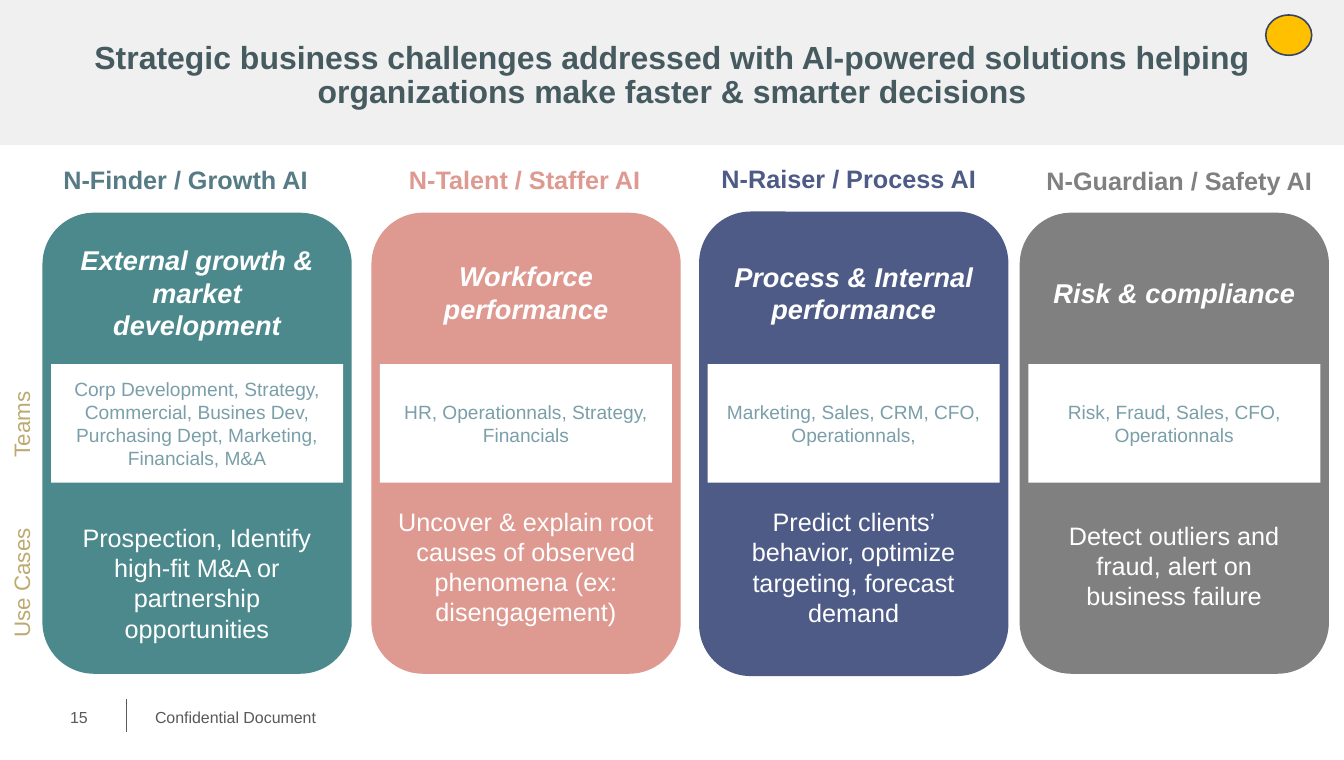
from lxml import etree
from pptx import Presentation
from pptx.dml.color import RGBColor
from pptx.enum.shapes import MSO_CONNECTOR, MSO_SHAPE
from pptx.enum.text import MSO_ANCHOR, PP_ALIGN
from pptx.oxml.ns import qn
from pptx.util import Pt

RECT, ROUND, OVAL = MSO_SHAPE.RECTANGLE, MSO_SHAPE.ROUNDED_RECTANGLE, MSO_SHAPE.OVAL
STRAIGHT = MSO_CONNECTOR.STRAIGHT
TOP, MIDDLE = MSO_ANCHOR.TOP, MSO_ANCHOR.MIDDLE
LEFT, CENTER = PP_ALIGN.LEFT, PP_ALIGN.CENTER

WHITE = RGBColor(0xFF, 0xFF, 0xFF)
HEADER_GRAY = RGBColor(0xF1, 0xF0, 0xF1)
TITLE_SLATE = RGBColor(0x45, 0x5B, 0x60)
FOOTER_GRAY = RGBColor(0x59, 0x59, 0x59)
TEAL = RGBColor(0x4B, 0x89, 0x8C)
HEADING_TEAL = RGBColor(0x56, 0x7B, 0x85)
SALMON = RGBColor(0xDE, 0x99, 0x91)
INDIGO = RGBColor(0x4D, 0x5B, 0x86)
GRAY = RGBColor(0x80, 0x80, 0x80)
TEAM_BLUE = RGBColor(0x7A, 0x9F, 0xA9)
SAND = RGBColor(0xBD, 0xAA, 0x70)
AMBER = RGBColor(0xFF, 0xC0, 0x00)
NAVY = RGBColor(0x39, 0x43, 0x63)

SLIDE_WIDTH, SLIDE_HEIGHT = 841.7, 475.9
CARD_WIDTH, PANEL_INSET = 193.7, 5.4
HEADING_WIDTH = 205
BLANK_LINE = 18.9

SOLUTIONS = [
    {"name": "N-Finder / Growth AI", "name_color": HEADING_TEAL, "name_center": 116.4, "name_top": 99.4,
     "left": 26.6, "top": 133.2, "height": 288.7, "color": TEAL, "gap_lines": 6,
     "challenge": "External growth & market development",
     "teams": "Corp Development, Strategy, Commercial, Busines Dev, Purchasing Dept, Marketing, Financials, M&A",
     "use_case": "Prospection, Identify high-fit M&A or partnership opportunities"},
    {"name": "N-Talent / Staffer AI", "name_color": SALMON, "name_center": 328.7, "name_top": 99.4,
     "left": 232.6, "top": 133.2, "height": 288.7, "color": SALMON, "gap_lines": 6,
     "challenge": "Workforce performance",
     "teams": "HR, Operationnals, Strategy, Financials",
     "use_case": "Uncover & explain root causes of observed phenomena (ex: disengagement)"},
    {"name": "N-Raiser / Process AI", "name_color": INDIGO, "name_center": 531.7, "name_top": 98.6,
     "left": 437.8, "top": 132.5, "height": 290.9, "color": INDIGO, "gap_lines": 6,
     "challenge": "Process & Internal performance",
     "teams": "Marketing, Sales, CRM, CFO, Operationnals,",
     "use_case": "Predict clients’ behavior, optimize targeting, forecast demand"},
    {"name": "N-Guardian / Safety AI", "name_color": GRAY, "name_center": 738.7, "name_top": 100.1,
     "left": 638.6, "top": 133.2, "height": 288.7, "color": GRAY, "gap_lines": 7,
     "challenge": "Risk & compliance",
     "teams": "Risk, Fraud, Sales, CFO, Operationnals",
     "use_case": "Detect outliers and fraud, alert on business failure"},
]


class SlideBuilder:
    def __init__(self, slide, font_name):
        self.slide = slide
        self.font_name = font_name

    def fill_text(self, frame, paragraphs, align=CENTER, anchor=MIDDLE):
        frame.word_wrap = True
        frame.vertical_anchor = anchor
        for index, (text, size, color, layout, style) in enumerate(paragraphs):
            paragraph = frame.paragraphs[0] if index == 0 else frame.add_paragraph()
            paragraph.alignment = align
            for key, value in layout.items():
                setattr(paragraph, key, value)
            run = paragraph.add_run()
            run.text = text
            font_values = {"name": self.font_name, "size": Pt(size), "bold": False, "italic": False, **style}
            for key, value in font_values.items():
                setattr(run.font, key, value)
            run.font.color.rgb = color

    def shape(self, kind, left, top, width, height, fill, paragraphs=(), outline=None):
        shape = self.slide.shapes.add_shape(kind, Pt(left), Pt(top), Pt(width), Pt(height))
        shape.shadow.inherit = False
        shape.fill.solid()
        shape.fill.fore_color.rgb = fill
        if outline:
            shape.line.color.rgb = outline
            shape.line.width = Pt(1)
        else:
            shape.line.fill.background()
        self.fill_text(shape.text_frame, paragraphs)

    def text(self, left, top, width, height, content, size, color, align=CENTER, anchor=TOP,
             rotation=0, layout=None, style=None, margin_left=7.2):
        box = self.slide.shapes.add_textbox(Pt(left), Pt(top), Pt(width), Pt(height))
        box.rotation = rotation
        box.text_frame.margin_left = Pt(margin_left)
        self.fill_text(box.text_frame, [(content, size, color, layout or {}, style or {})], align, anchor)

    def line(self, x1, y1, x2, y2, color, width):
        line = self.slide.shapes.add_connector(STRAIGHT, Pt(x1), Pt(y1), Pt(x2), Pt(y2))
        line.line.color.rgb = color
        line.line.width = Pt(width)
        etree.SubElement(line._element.spPr, qn("a:effectLst"))

    def solution(self, item):
        self.text(item["name_center"] - HEADING_WIDTH / 2, item["name_top"], HEADING_WIDTH, 26.6,
                  item["name"], 15.8, item["name_color"], style={"bold": True})
        gap = {"space_before": Pt(item["gap_lines"] * BLANK_LINE)}
        self.shape(ROUND, item["left"], item["top"], CARD_WIDTH, item["height"], item["color"], [
            (item["challenge"], 17, WHITE, {}, {"bold": True, "italic": True}),
            (item["use_case"], 15.8, WHITE, gap, {}),
        ])
        self.shape(RECT, item["left"] + PANEL_INSET, 228, CARD_WIDTH - 2 * PANEL_INSET, 74.2, WHITE,
                   [(item["teams"], 12, TEAM_BLUE, {}, {})])


def main():
    deck = Presentation()
    deck.slide_width, deck.slide_height = Pt(SLIDE_WIDTH), Pt(SLIDE_HEIGHT)
    builder = SlideBuilder(deck.slides.add_slide(deck.slide_layouts[6]), "Arial")

    builder.shape(RECT, 0, 0, SLIDE_WIDTH, 90.7, HEADER_GRAY)
    builder.text(21.6, -1.4, 799.2, 97.9,
                 "Strategic business challenges addressed with AI-powered solutions helping "
                 "organizations make faster & smarter decisions",
                 20, TITLE_SLATE, anchor=MIDDLE, layout={"line_spacing": 0.9}, style={"bold": True})
    builder.shape(OVAL, 792.7, 9.4, 28.8, 25.2, AMBER, outline=NAVY)

    for item in SOLUTIONS:
        builder.solution(item)

    for label, top in (("Teams", 253.4), ("Use Cases", 352.8)):
        builder.text(-46.4, top, 120, 24.5, label, 14, SAND, rotation=270)

    builder.text(43.9, 436.3, 52.6, 25.2, "15", 10, FOOTER_GRAY, LEFT, MIDDLE, margin_left=0)
    builder.line(79.2, 437.8, 79.2, 458.6, FOOTER_GRAY, 0.5)
    builder.text(90, 434.2, 209.5, 25.2, "Confidential Document", 10, FOOTER_GRAY, LEFT, MIDDLE,
                 layout={"line_spacing": Pt(16.8)})
    deck.save("out.pptx")


if __name__ == "__main__":
    main()
